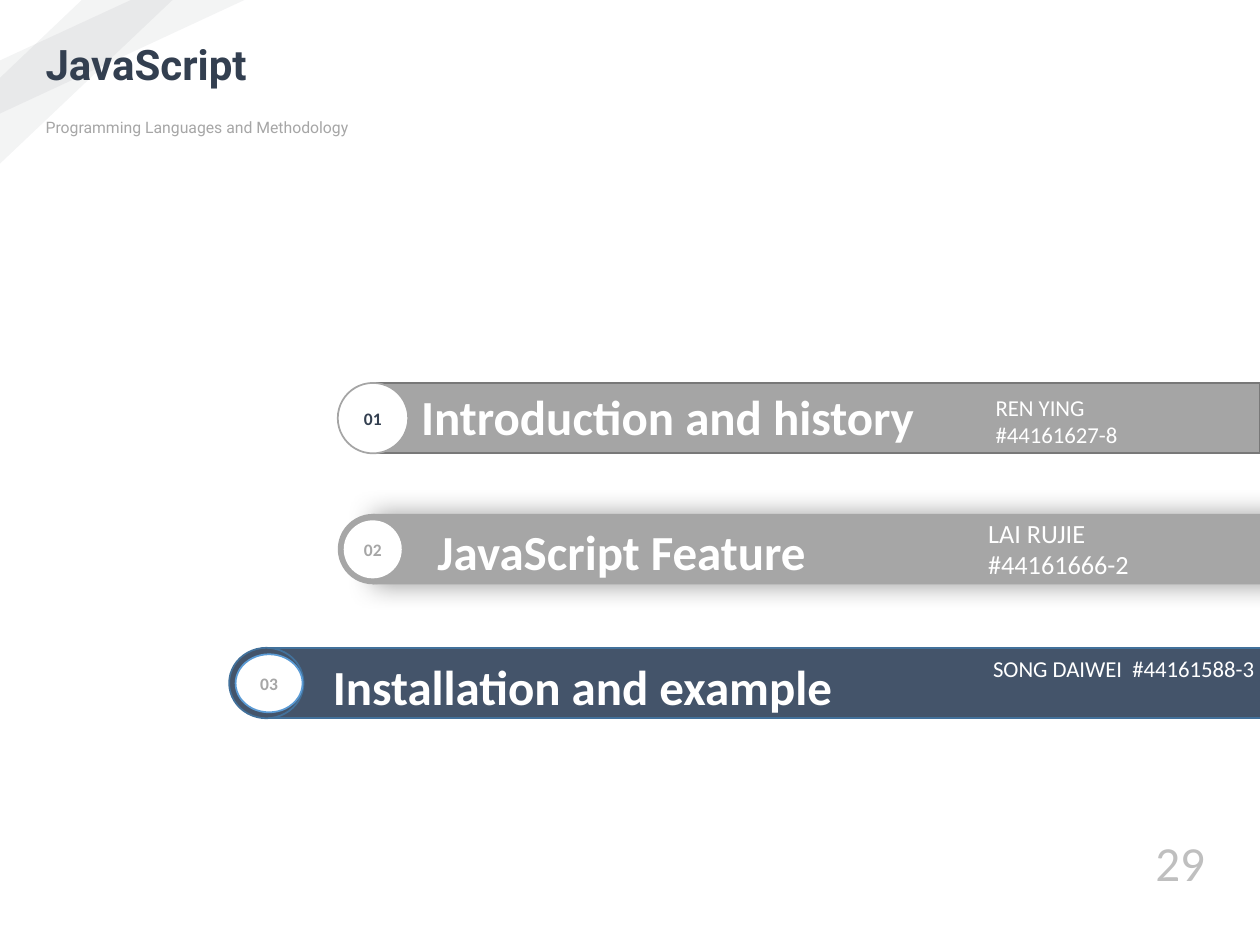
from lxml import etree
from pptx import Presentation
from pptx import util as u
from pptx.dml.color import RGBColor
from pptx.enum import shapes, text
from pptx.oxml.ns import qn

COLORS = {
    "white": "FFFFFF", "black": "000000", "ink": "222A35", "navy": "333F50",
    "slate": "44546A", "slate_line": "42719B", "blue": "5B9BD5",
    "gray": "A5A5A5", "gray_line": "787878", "mid": "A6A6A6", "pale": "BFBFBF",
}


class Deck:
    """Holds the style and the current slide."""
    font = "Calibri"
    inset = u.Cm(0.13)

    def __init__(self, width, height):
        self.prs = Presentation()
        self.prs.slide_width, self.prs.slide_height = u.Cm(width), u.Cm(height)
        self.s = self.prs.slides.add_slide(self.prs.slide_layouts[6])

    def color(self, name):
        return RGBColor.from_string(COLORS[name])

    def paint(self, sp, fill, line=None):
        sp.shadow.inherit = False
        sp.fill.solid()
        sp.fill.fore_color.rgb = self.color(fill)
        if line:
            sp.line.color.rgb = self.color(line)
            sp.line.width = u.Pt(1)
        else:
            sp.line.fill.background()
        return sp

    def shape(self, kind, x, y, w, h, fill, line=None):
        sp = self.s.shapes.add_shape(kind, u.Cm(x), u.Cm(y), u.Cm(w), u.Cm(h))
        return self.paint(sp, fill, line)

    def band(self, points, fill, alpha):
        pts = [(u.Cm(x), u.Cm(y)) for x, y in points]
        fb = self.s.shapes.build_freeform(*pts[0])
        fb.add_line_segments(pts[1:], close=True)
        sp = self.paint(fb.convert_to_shape(), fill)
        clr = sp._element.spPr.find(qn("a:solidFill"))[0]
        etree.SubElement(clr, qn("a:alpha"), val=str(alpha * 1000))

    def glow(self, sp, color, alpha, blur):
        effects = sp._element.spPr.find(qn("a:effectLst"))
        shadow = etree.SubElement(effects, qn("a:outerShdw"),
                                  blurRad=str(u.Pt(blur)), dist="0", dir="0",
                                  algn="ctr", rotWithShape="0")
        clr = etree.SubElement(shadow, qn("a:srgbClr"), val=COLORS[color])
        etree.SubElement(clr, qn("a:alpha"), val=str(alpha * 1000))

    def label(self, x, y, w, h, words, size, color, bold=False, font=None,
              before=0, centered=False, grow=True):
        sp = self.s.shapes.add_textbox(u.Cm(x), u.Cm(y), u.Cm(w), u.Cm(h))
        tf = sp.text_frame
        tf.text = words
        tf.word_wrap = True
        tf.auto_size = (text.MSO_AUTO_SIZE.SHAPE_TO_FIT_TEXT if grow
                        else text.MSO_AUTO_SIZE.NONE)
        tf.margin_left = tf.margin_right = self.inset
        tf.margin_top = tf.margin_bottom = self.inset
        if centered:
            tf.vertical_anchor = text.MSO_ANCHOR.MIDDLE
        for p in tf.paragraphs:
            p.space_before = u.Pt(before)
            p.alignment = text.PP_ALIGN.CENTER if centered else text.PP_ALIGN.LEFT
            for r in p.runs:
                r.font.name = font or self.font
                r.font.size, r.font.bold = u.Pt(size), bold
                r.font.color.rgb = self.color(color)

    def agenda_bar(self, number, y, bar, disc, hole, title, number_color, shadow=False):
        """Bar with a round end, a number in a white hole, and a title."""
        rect, oval = shapes.MSO_SHAPE.RECTANGLE, shapes.MSO_SHAPE.OVAL
        height, hole_h, num_w, num_h = 1.42, 1.17, 0.9, 0.64
        x, w, fill, line = bar
        sp = self.shape(rect, x, y, w, height, fill, line)
        if shadow:
            self.glow(sp, "black", 40, 15)
        x, w, fill, line = disc
        self.shape(oval, x, y, w, height, fill, line)
        x, w, line = hole
        self.shape(oval, x, y + 0.13, w, hole_h, "white", line)
        self.label(x + (w - num_w) / 2, y + 0.4, num_w, num_h, number, 10,
                   number_color, bold=True, centered=True)
        x, top, w, words = title
        self.label(x, top, w, 2.64, words, 28, "white", bold=True, before=7)


def main():
    d = Deck(25.4, 19.05)

    # Corner bands
    d.band([(0, 1.22), (2.64, 0), (4.93, 0), (0, 2.29)], "ink", 5)
    d.band([(0, 1.57), (1.65, 0), (3.48, 0), (0, 3.3)], "ink", 5)

    # Heading
    d.label(0.79, 0.64, 10.9, 1.6, "JavaScript", 24, "navy", bold=True,
            font="Roboto", before=10, grow=False)
    d.label(0.79, 2.24, 10.9, 0.81, "Programming Languages and Methodology", 9,
            "mid", font="Roboto", before=10, grow=False)

    # Agenda bars
    d.agenda_bar("03", 13.06, (5.36, 20.35, "slate", "slate_line"),
                 (4.62, 1.5, "slate", "slate_line"), (4.75, 1.35, "blue"),
                 (6.58, 13.11, 13.21, "Installation and example"), "mid")
    d.agenda_bar("01", 7.72, (7.57, 17.83, "gray", "gray_line"),
                 (6.81, 1.42, "white", "gray"), (6.93, 1.17, None),
                 (8.36, 7.67, 13.18, "Introduction and history"), "navy")
    d.agenda_bar("02", 10.36, (7.52, 19.51, "mid", None),
                 (6.81, 1.42, "mid", None), (6.93, 1.17, None),
                 (8.69, 10.39, 10.13, "JavaScript Feature"), "mid", shadow=True)

    # Presenters
    d.label(19.89, 13.06, 5.82, 1.32, "SONG DAIWEI  #44161588-3", 13, "white", before=7)
    d.label(19.79, 10.29, 10.31, 1.45, "LAI RUJIE\n#44161666-2", 15, "white")
    d.label(19.94, 7.8, 3.61, 1.32, "REN YING\n#44161627-8", 13, "white")

    # Page number
    d.label(23.16, 16.66, 1.57, 1.37, "29", 28, "pale")

    d.prs.save("out.pptx")


if __name__ == "__main__":
    main()
